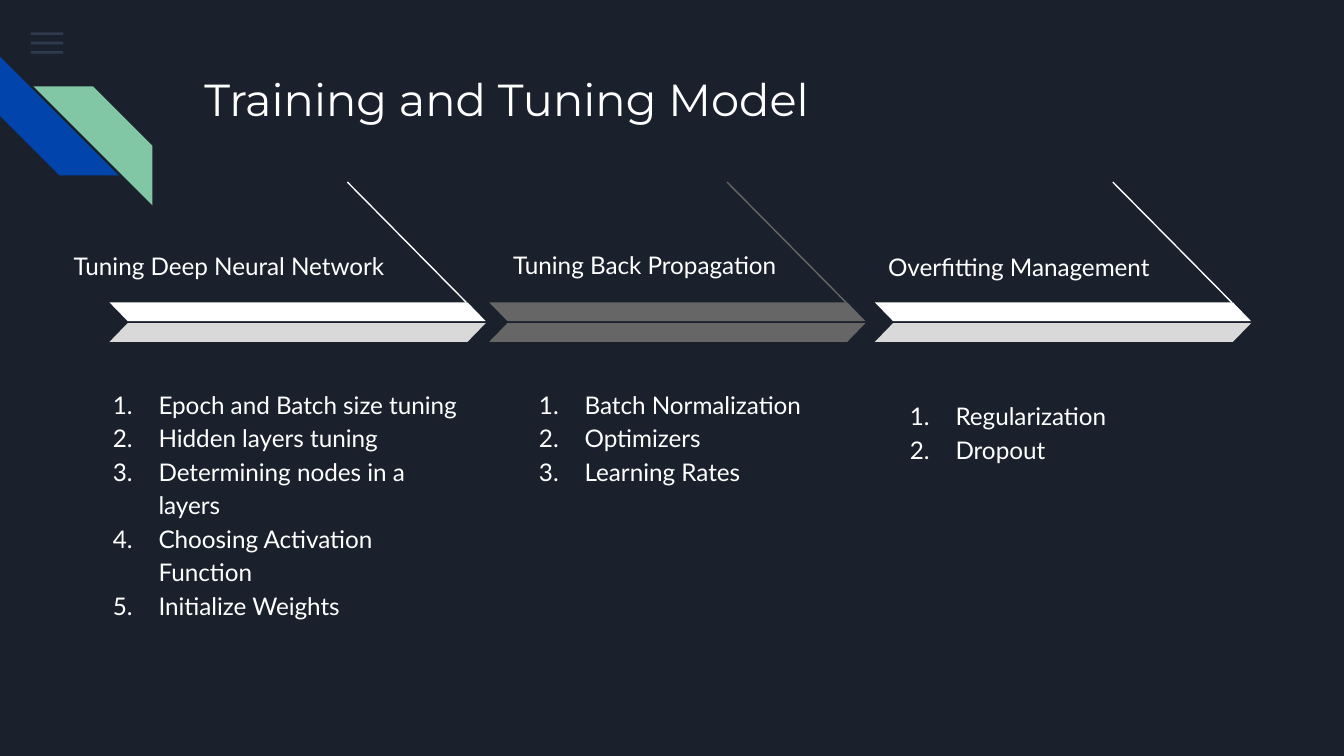
from lxml import etree
from pptx import Presentation
from pptx import util as u
from pptx.dml.color import RGBColor
from pptx.enum import shapes, text
from pptx.oxml import ns

WIDTH = u.Inches(10)
HEIGHT = WIDTH * 9 // 16
COLUMNS, ROWS = 100, 56.25
COLORS = {
    "night": "1B212C", "menu": "55688B", "blue": "0145AC", "green": "82C7A5",
    "white": "FFFFFF", "silver": "D9D9D9", "gray": "666666",
}
STAGES = [
    dict(left=8.15, upper="white", lower="silver",
         heading="Tuning Deep Neural Network", heading_at=(-3.65, -5.1),
         items=["Epoch and Batch size tuning", "Hidden layers tuning",
                "Determining nodes in a layers", "Choosing Activation Function",
                "Initialize Weights"], list_at=(-2.35, 5.2)),
    dict(left=36.4, upper="gray", lower="gray",
         heading="Tuning Back Propagation", heading_at=(0.8, -5.2),
         items=["Batch Normalization", "Optimizers", "Learning Rates"], list_at=(1.1, 5.2)),
    dict(left=65.1, upper="white", lower="silver",
         heading="Overfitting Management", heading_at=(0, -5.05),
         items=["Regularization", "Dropout"], list_at=(0, 6.05)),
]


def place(left, top, width, height):
    """Turn grid columns and rows into slide lengths."""
    return (int(left * WIDTH / COLUMNS), int(top * HEIGHT / ROWS),
            int(width * WIDTH / COLUMNS), int(height * HEIGHT / ROWS))


def color(name):
    """Look up a named colour."""
    return RGBColor.from_string(COLORS[name])


def add_block(page, kind, box, fill, adjust=None, flip=False, turn=0, alpha=None):
    """Add a flat preset shape without outline or shadow."""
    block = page.shapes.add_shape(kind, *place(*box))
    block.shadow.inherit = False
    block.line.fill.background()
    block.fill.solid()
    block.fill.fore_color.rgb = color(fill)
    block.rotation = turn
    if adjust is not None:
        block.adjustments[0] = adjust
    if flip:
        block._element.spPr.find(ns.qn("a:xfrm")).set("flipH", "1")
    if alpha is not None:
        paint = next(block._element.spPr.iter(ns.qn("a:srgbClr")))
        etree.SubElement(paint, ns.qn("a:alpha")).set("val", str(alpha * 1000))


def add_number(para):
    """Give a paragraph automatic numbering with a hanging indent."""
    props = para._p.get_or_add_pPr()
    props.set("marL", str(u.Inches(0.5)))
    props.set("indent", str(u.Inches(-0.34)))
    ink = etree.SubElement(props, ns.qn("a:buClr"))
    etree.SubElement(ink, ns.qn("a:srgbClr")).set("val", COLORS["white"])
    etree.SubElement(props, ns.qn("a:buFont")).set("typeface", "Lato")
    etree.SubElement(props, ns.qn("a:buAutoNum")).set("type", "arabicPeriod")


def write(holder, box, lines, font="Lato", size=13, spacing=1.15, after=0, numbered=False):
    """Place a text holder and fill it with formatted paragraphs."""
    holder.left, holder.top, holder.width, holder.height = place(*box)
    frame = holder.text_frame
    frame.word_wrap = True
    frame.auto_size = text.MSO_AUTO_SIZE.NONE
    frame.vertical_anchor = text.MSO_ANCHOR.TOP
    frame.margin_left = frame.margin_right = u.Inches(0.1)
    frame.margin_top = frame.margin_bottom = u.Inches(0.1)
    for index, line in enumerate(lines):
        para = frame.add_paragraph() if index else frame.paragraphs[0]
        if numbered:
            add_number(para)
        para.alignment = text.PP_ALIGN.LEFT
        para.line_spacing = spacing
        para.space_before, para.space_after = u.Pt(0), u.Pt(after)
        span = para.add_run()
        span.text = line
        span.font.name, span.font.size, span.font.bold = font, u.Pt(size), False
        span.font.color.rgb = color("white")


def add_corner(page, left, top):
    """Draw the menu icon and the two diagonal stripes."""
    for row in range(3):
        add_block(page, shapes.MSO_SHAPE.RECTANGLE,
                  (left + 2.3, top + 2.4 + 0.7 * row, 2.4, 0.2), "menu", alpha=36)
    stripe = shapes.MSO_SHAPE.DIAGONAL_STRIPE
    add_block(page, stripe, (left, top + 4.2, 8.85, 8.85), "blue", 0.5, turn=270)
    add_block(page, stripe, (left + 2.5, top + 6.43, 8.85, 8.85), "green", 0.5, flip=True)


def add_stage(page, holder, top, left, upper, lower, heading, heading_at, items, list_at):
    """Draw one process arrow with its heading above and numbered list below."""
    title = page.shapes.add_textbox(0, 0, 0, 0)
    write(title, (left + heading_at[0], top + heading_at[1], 26.5, 5), [heading], after=16)
    write(holder, (left + list_at[0], top + list_at[1], 30.3, 16.2), items, numbered=True)
    bar = shapes.MSO_SHAPE.PARALLELOGRAM
    add_block(page, bar, (left, top, 28, 1.4), upper, 0.97, flip=True)
    add_block(page, bar, (left, top + 1.54, 28, 1.4), lower, 0.97)
    ends = place(left + 17.7, top - 8.95, left + 26.55, top)
    line = page.shapes.add_connector(shapes.MSO_CONNECTOR.STRAIGHT, *ends)
    line.line.color.rgb = color(upper)
    line.line.width = u.Pt(0.75)
    etree.SubElement(line._element.spPr, ns.qn("a:effectLst"))


def main():
    """Build and save the slide."""
    deck = Presentation()
    deck.slide_width, deck.slide_height = WIDTH, HEIGHT
    page = deck.slides.add_slide(deck.slide_layouts.get_by_name("Comparison"))
    page.background.fill.solid()
    page.background.fill.fore_color.rgb = color("night")
    title, *bodies = page.placeholders
    add_corner(page, 0, 0)
    write(title, (14.2, 4.34, 77, 10), ["Training and Tuning Model"],
          font="Montserrat", size=24, spacing=1.0)
    for holder, stage in zip(bodies, STAGES):
        add_stage(page, holder, 22.5, **stage)
    for spare in bodies[len(STAGES):]:
        spare._element.getparent().remove(spare._element)
    deck.save("out.pptx")


if __name__ == "__main__":
    main()
